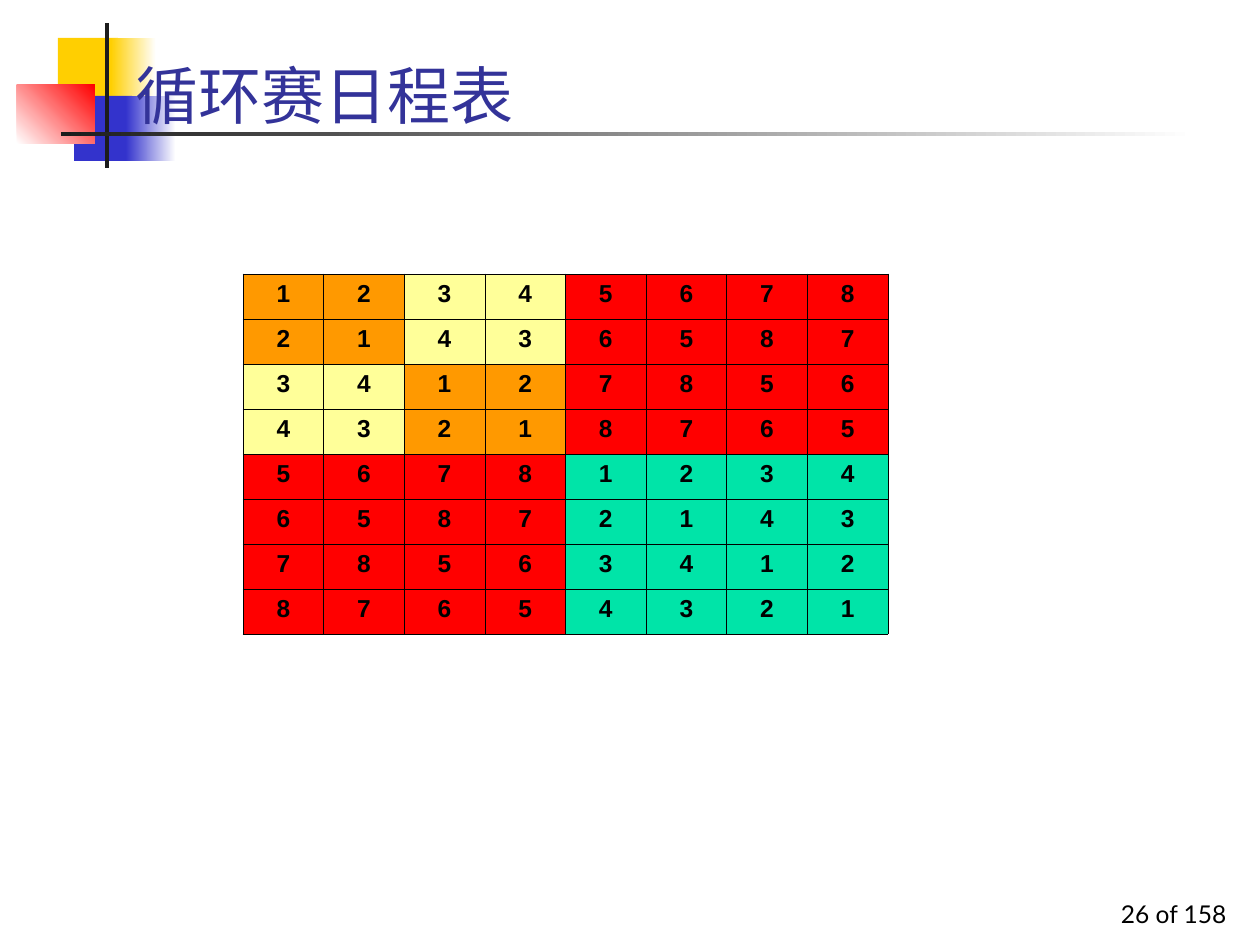
"""Build the round-robin tournament schedule slide."""
import dataclasses
import itertools
import typing

import pptx
import pptx.dml.color
import pptx.enum.shapes
import pptx.enum.text
import pptx.oxml
import pptx.oxml.ns
import pptx.util

EMU_PER_PX = 914400 / 126
TEAMS = 8


@dataclasses.dataclass(frozen=True)
class Theme:
    yellow: str = "FFCF01"
    blue: str = "3333CC"
    red: str = "FF0000"
    white: str = "FFFFFF"
    bar: str = "1C1C1C"
    title: str = "333399"
    text: str = "000000"
    orange_cell: str = "FF9900"
    yellow_cell: str = "FFFF99"
    green_cell: str = "00E4A8"
    title_font: str = "Noto Sans CJK SC"
    page_font: str = "Lato"
    table_font: str = "Arial"
    title_size: int = 36
    text_size: int = 14
    border_width: float = 0.45


THEME = Theme()


class Box(typing.NamedTuple):
    x: int
    y: int
    w: int
    h: int

    def emu(self) -> list[int]:
        return [px(v) for v in self]


class Block(typing.NamedTuple):
    box: Box
    color: str
    fade_to: str | None = None
    angle: int = 0


BLOCKS = (
    Block(Box(58, 38, 60, 66), THEME.yellow),
    Block(Box(111, 38, 45, 66), THEME.yellow, THEME.white),
    Block(Box(74, 96, 58, 65), THEME.blue),
    Block(Box(126, 96, 50, 65), THEME.blue, THEME.white),
    Block(Box(17, 85, 78, 59), THEME.white, THEME.red, 45),
    Block(Box(105, 23, 4, 145), THEME.bar),
    Block(Box(61, 132, 1134, 4), THEME.bar, THEME.white),
)
TITLE_BOX = Box(123, 45, 1071, 93)
PAGE_BOX = Box(977, 872, 262, 63)
TABLE_BOX = Box(243, 274, 645, 360)


def px(value: int) -> pptx.util.Emu:
    return pptx.util.Emu(round(value * EMU_PER_PX))


def rgb(color: str) -> pptx.dml.color.RGBColor:
    return pptx.dml.color.RGBColor.from_string(color)


def place(sp, box: Box) -> None:
    sp.left, sp.top, sp.width, sp.height = box.emu()


def write(tf, text: str, *, font: str, size: int, color: str,
          align: str = "LEFT", bold: bool = False) -> None:
    p = tf.paragraphs[0]
    p.alignment = getattr(pptx.enum.text.PP_ALIGN, align)
    r = p.add_run()
    r.text = text
    r.font.name, r.font.size, r.font.bold = font, pptx.util.Pt(size), bold
    r.font.color.rgb = rgb(color)
    ea = r.font._element.makeelement(pptx.oxml.ns.qn("a:ea"), {"typeface": font})
    r.font._element.find(pptx.oxml.ns.qn("a:latin")).addnext(ea)


def draw_block(s, block: Block) -> None:
    sp = s.shapes.add_shape(pptx.enum.shapes.MSO_SHAPE.RECTANGLE, *block.box.emu())
    sp.shadow.inherit = False
    sp.line.fill.background()
    if block.fade_to is None:
        sp.fill.solid()
        sp.fill.fore_color.rgb = rgb(block.color)
        return
    sp.fill.gradient()
    sp.fill.gradient_angle = block.angle
    for stop, color in zip(sp.fill.gradient_stops, (block.color, block.fade_to)):
        stop.color.rgb = rgb(color)


def draw_page_number(s, text: str) -> None:
    tf = s.shapes.add_textbox(*PAGE_BOX.emu()).text_frame
    tf.word_wrap = True
    tf.vertical_anchor = pptx.enum.text.MSO_ANCHOR.BOTTOM
    write(tf, text, font=THEME.page_font, size=THEME.text_size,
          color=THEME.text, align="RIGHT")


def draw_title(s, text: str) -> None:
    sp = s.shapes.title
    s.shapes.element.append(sp.element)
    place(sp, TITLE_BOX)
    tf = sp.text_frame
    tf.auto_size = pptx.enum.text.MSO_AUTO_SIZE.NONE
    tf.vertical_anchor = pptx.enum.text.MSO_ANCHOR.BOTTOM
    write(tf, text, font=THEME.title_font, size=THEME.title_size, color=THEME.title)


def add_borders(cell) -> None:
    tc_pr = cell._tc.get_or_add_tcPr()
    for side in "LRTB":
        tc_pr.append(pptx.oxml.parse_xml(
            f'<a:ln{side} {pptx.oxml.ns.nsdecls("a")} '
            f'w="{pptx.util.Pt(THEME.border_width)}"><a:solidFill>'
            f'<a:srgbClr val="{THEME.text}"/></a:solidFill></a:ln{side}>'))


def cell_color(row: int, col: int) -> str:
    if row ^ col >= TEAMS // 2:
        return THEME.red
    if row >= TEAMS // 2:
        return THEME.green_cell
    return THEME.yellow_cell if row ^ col >= TEAMS // 4 else THEME.orange_cell


def draw_schedule(s) -> None:
    table = s.shapes.add_table(TEAMS, TEAMS, *TABLE_BOX.emu()).table
    table.first_row = table.horz_banding = False
    for row, col in itertools.product(range(TEAMS), repeat=2):
        cell = table.cell(row, col)
        add_borders(cell)
        cell.fill.solid()
        cell.fill.fore_color.rgb = rgb(cell_color(row, col))
        write(cell.text_frame, str((row ^ col) + 1), font=THEME.table_font,
              size=THEME.text_size, color=THEME.text, align="CENTER", bold=True)


def main() -> None:
    prs = pptx.Presentation()
    prs.slide_width, prs.slide_height = px(1260), px(945)
    s = prs.slides.add_slide(prs.slide_layouts.get_by_name("Title Only"))
    for block in BLOCKS:
        draw_block(s, block)
    draw_page_number(s, "26 of 158")
    draw_title(s, "循环赛日程表")
    draw_schedule(s)
    prs.save("out.pptx")


if __name__ == "__main__":
    main()
